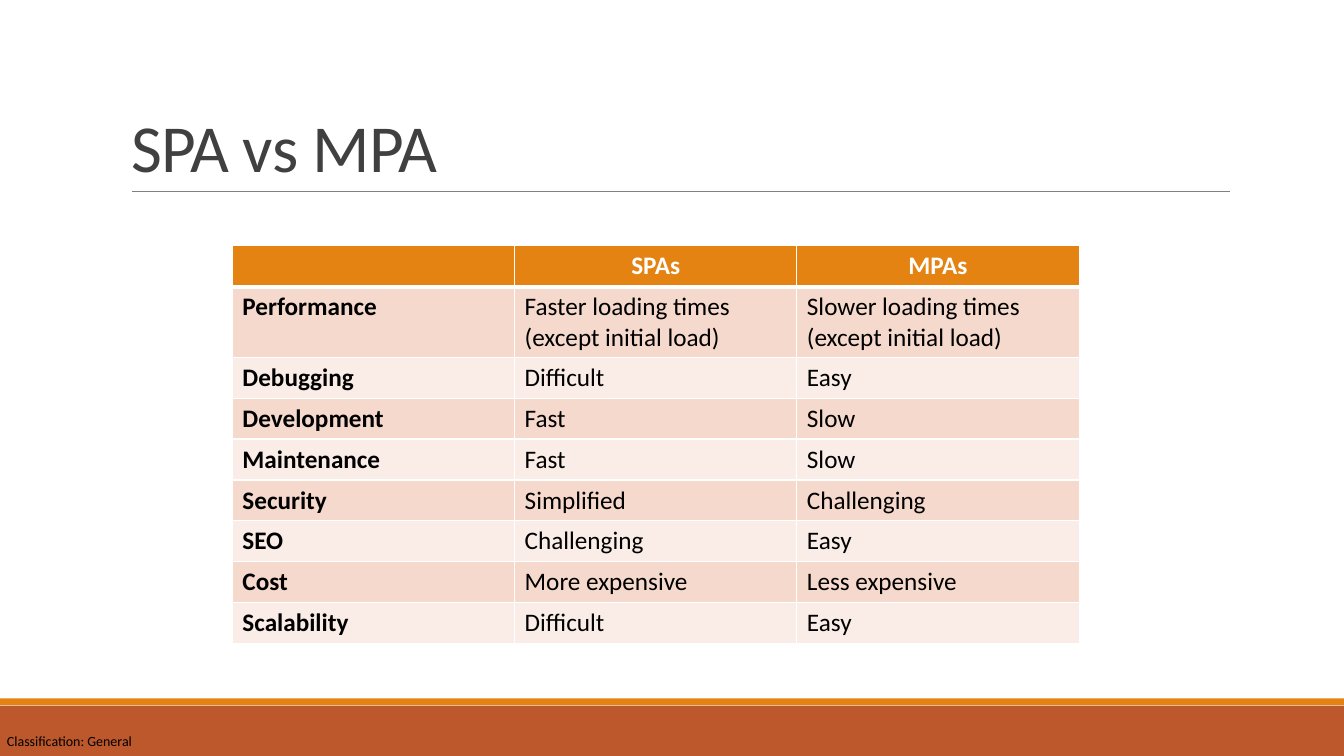
from lxml import etree
from pptx import Presentation
from pptx.dml.color import RGBColor
from pptx.enum import shapes, text
from pptx.oxml import ns
from pptx.util import Pt

COLORS = {
    "rust": "BD582C", "orange": "E48312", "rule": "808080", "title": "404040",
    "black": "000000", "white": "FFFFFF", "band_dark": "F5D9CC", "band_light": "FAEDE7",
}
ROWS = [
    ("", "SPAs", "MPAs"),
    ("Performance", "Faster loading times (except initial load)",
     "Slower loading times (except initial load)"),
    ("Debugging", "Difficult", "Easy"),
    ("Development", "Fast", "Slow"),
    ("Maintenance", "Fast", "Slow"),
    ("Security", "Simplified", "Challenging"),
    ("SEO", "Challenging", "Easy"),
    ("Cost", "More expensive", "Less expensive"),
    ("Scalability", "Difficult", "Easy"),
]
COLUMN_WIDTH, ROW_HEIGHT = 201.6, 29.2


def color(name):
    return RGBColor.from_string(COLORS[name])


def set_all(target, **values):
    """Set each named attribute on the target."""
    for name, value in values.items():
        setattr(target, name, value)


def format_font(font, size, color_name, bold=False):
    set_all(font, name="Calibri", size=Pt(size), bold=bold)
    font.color.rgb = color(color_name)


def add_bar(slide, top, height, fill):
    bar = slide.shapes.add_shape(
        shapes.MSO_SHAPE.RECTANGLE, 0, Pt(top), Pt(960), Pt(height))
    bar.shadow.inherit = False
    bar.fill.solid()
    bar.fill.fore_color.rgb = color(fill)
    bar.line.fill.background()


def add_rule(slide, left, right, y):
    rule = slide.shapes.add_connector(
        shapes.MSO_CONNECTOR.STRAIGHT, Pt(left), Pt(y), Pt(right), Pt(y))
    rule.line.color.rgb = color("rule")
    rule.line.width = Pt(0.5)
    etree.SubElement(rule._element.spPr, ns.qn("a:effectLst"))


def add_label(slide, words, left, top, width, height):
    label = slide.shapes.add_textbox(Pt(left), Pt(top), Pt(width), Pt(height))
    frame = label.text_frame
    set_all(frame, margin_left=0, margin_top=0, margin_right=0, margin_bottom=0,
            word_wrap=True, text=words)
    format_font(frame.paragraphs[0].runs[0].font, 10, "black")


def format_title(title, words):
    set_all(title, left=Pt(86.4), top=Pt(22.6), width=Pt(792), height=Pt(114.2))
    frame = title.text_frame
    set_all(frame, text=words, word_wrap=True, auto_size=text.MSO_AUTO_SIZE.NONE,
            vertical_anchor=text.MSO_ANCHOR.BOTTOM)
    paragraph = frame.paragraphs[0]
    set_all(paragraph, alignment=text.PP_ALIGN.LEFT, line_spacing=0.85)
    run = paragraph.runs[0]
    format_font(run.font, 48, "title")
    run.font._element.set("spc", "-50")


def add_borders(cell, bottom_width):
    properties = cell._tc.get_or_add_tcPr()
    for side, width in (("L", 1), ("R", 1), ("T", 1), ("B", bottom_width)):
        line = etree.SubElement(properties, ns.qn(f"a:ln{side}"), w=str(Pt(width)))
        fill = etree.SubElement(line, ns.qn("a:solidFill"))
        etree.SubElement(fill, ns.qn("a:srgbClr"), val=COLORS["white"])


def format_cell(cell, words, row, column):
    header = row == 0
    add_borders(cell, 3 if header else 1)
    cell.fill.solid()
    band = "band_dark" if row % 2 else "band_light"
    cell.fill.fore_color.rgb = color("orange" if header else band)
    cell.text = words
    paragraph = cell.text_frame.paragraphs[0]
    paragraph.alignment = text.PP_ALIGN.CENTER if header else text.PP_ALIGN.LEFT
    format_font(paragraph.font, 18, "white" if header else "black",
                bold=header or column == 0)
    for run in paragraph.runs:
        format_font(run.font, 18, "white" if header else "black",
                    bold=header or column == 0)


def add_comparison(slide, left, top):
    columns = len(ROWS[0])
    table = slide.shapes.add_table(
        len(ROWS), columns, Pt(left), Pt(top),
        Pt(COLUMN_WIDTH * columns), Pt(ROW_HEIGHT * len(ROWS))).table
    for column in table.columns:
        column.width = Pt(COLUMN_WIDTH)
    for row, entries in enumerate(ROWS):
        table.rows[row].height = Pt(ROW_HEIGHT)
        for column, words in enumerate(entries):
            format_cell(table.cell(row, column), words, row, column)


def main():
    presentation = Presentation()
    set_all(presentation, slide_width=Pt(960), slide_height=Pt(540))
    slide = presentation.slides.add_slide(presentation.slide_layouts[5])
    add_bar(slide, 504, 36, "rust")
    add_bar(slide, 498.8, 5, "orange")
    add_rule(slide, 94.3, 878.8, 136.6)
    add_label(slide, "Classification: General", 5, 522.9, 92, 12.2)
    format_title(slide.shapes.title, "SPA vs MPA")
    add_comparison(slide, 166, 175.6)
    presentation.save("out.pptx")


if __name__ == "__main__":
    main()
